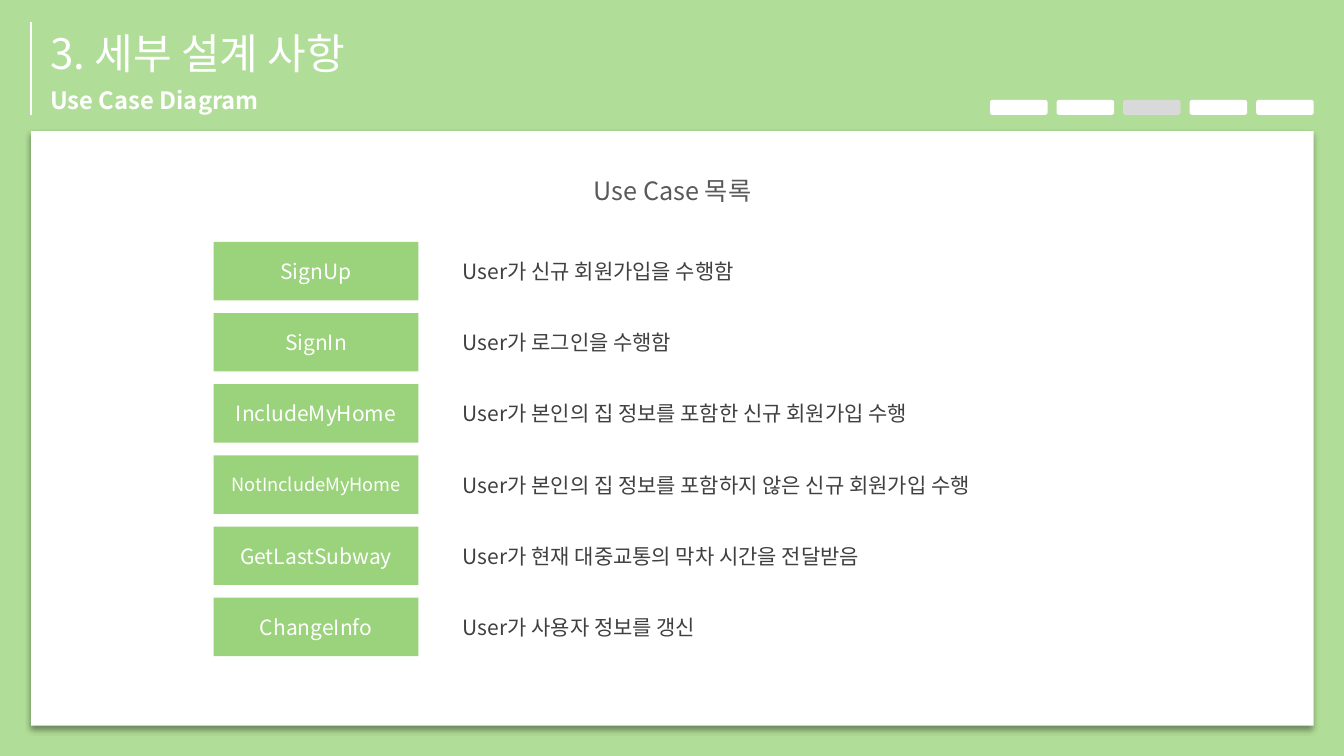
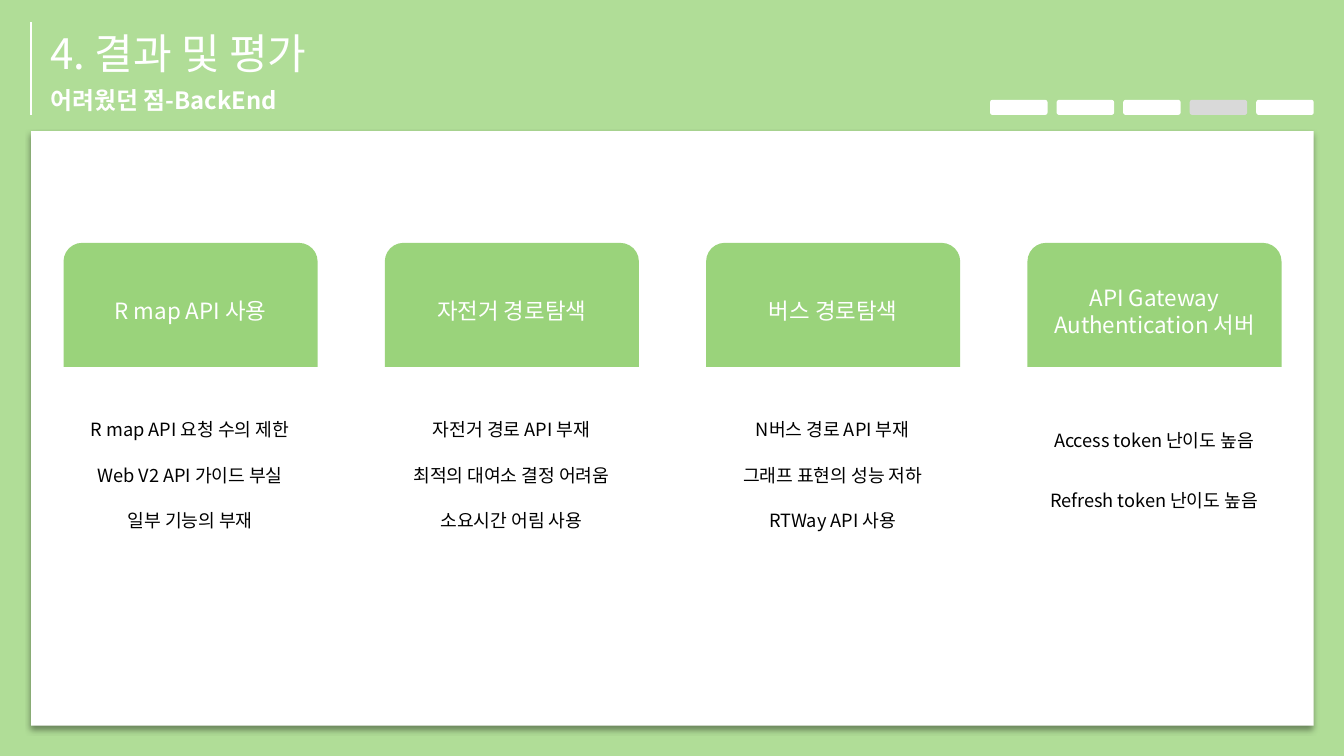
from lxml import etree
from pptx import Presentation
from pptx import util as u
from pptx.dml.color import RGBColor
from pptx.enum import shapes, text
from pptx.oxml import ns

Inches, Pt = u.Inches, u.Pt
Shape, Align, Anchor = shapes.MSO_SHAPE, text.PP_ALIGN, text.MSO_ANCHOR

FONT = "Noto Sans CJK KR"
WHITE = RGBColor(0xFF, 0xFF, 0xFF)
BLACK = RGBColor(0x00, 0x00, 0x00)
DARK = RGBColor(0x40, 0x40, 0x40)
GREY = RGBColor(0x59, 0x59, 0x59)
SILVER = RGBColor(0xD9, 0xD9, 0xD9)
LIGHT_GREEN = RGBColor(0xB0, 0xDD, 0x97)
GREEN = RGBColor(0x9A, 0xD3, 0x7B)

SECTIONS = 5
LEFT = 0.31

USE_CASES = [
    ("SignUp", 15, "User가 신규 회원가입을 수행함"),
    ("SignIn", 15, "User가 로그인을 수행함"),
    ("IncludeMyHome", 15, "User가 본인의 집 정보를 포함한 신규 회원가입 수행"),
    ("NotIncludeMyHome", 13, "User가 본인의 집 정보를 포함하지 않은 신규 회원가입 수행"),
    ("GetLastSubway", 15, "User가 현재 대중교통의 막차 시간을 전달받음"),
    ("ChangeInfo", 15, "User가 사용자 정보를 갱신"),
]

# heading lines, top of the notes, space between notes in points, notes
DIFFICULTIES = [
    (["R map API 사용"], 4.1, 17,
     ["R map API 요청 수의 제한", "Web V2 API 가이드 부실", "일부 기능의 부재"]),
    (["자전거 경로탐색"], 4.1, 17,
     ["자전거 경로 API 부재", "최적의 대여소 결정 어려움", "소요시간 어림 사용"]),
    (["버스 경로탐색"], 4.1, 17,
     ["N버스 경로 API 부재", "그래프 표현의 성능 저하", "RTWay API 사용"]),
    (["API Gateway", "Authentication 서버"], 4.21, 27.5,
     ["Access token 난이도 높음", "Refresh token 난이도 높음"]),
]


class Deck:
    """The shared style and the slide being built."""

    def __init__(self):
        self.deck = Presentation()
        self.deck.slide_width = Inches(13.33)
        self.deck.slide_height = Inches(7.5)
        self.page = None

    def new_page(self, title, subtitle, section):
        self.page = self.deck.slides.add_slide(self.deck.slide_layouts[6])
        background = self.page.background.fill
        background.solid()
        background.fore_color.rgb = LIGHT_GREEN

        # White panel and title
        self.add_shadow(self.shape(Shape.RECTANGLE, LEFT, 1.3, 12.72, 5.9, WHITE))
        self.label([title], 0.4, 0.22, 12.63, 0.61, 30, WHITE)
        self.line(LEFT, 0.22, LEFT, 1.14, WHITE, 1.5)
        self.label([subtitle], 0.4, 0.8, 12.63, 0.39, 17, WHITE, bold=True)

        # Section markers
        for number in range(1, SECTIONS + 1):
            color = SILVER if number == section else WHITE
            self.shape(Shape.ROUNDED_RECTANGLE, 9.82 + 0.66 * (number - 1), 0.99,
                       0.57, 0.15, color)

    def shape(self, kind, left, top, width, height, color):
        box = self.page.shapes.add_shape(
            kind, Inches(left), Inches(top), Inches(width), Inches(height))
        box.shadow.inherit = False
        box.fill.solid()
        box.fill.fore_color.rgb = color
        box.line.fill.background()
        return box

    def add_shadow(self, box):
        effects = box._element.spPr.find(ns.qn("a:effectLst"))
        shadow = etree.SubElement(
            effects, ns.qn("a:outerShdw"), blurRad=str(Pt(4)), dist=str(Pt(3)),
            dir="5400000", algn="t", rotWithShape="0")
        color = etree.SubElement(shadow, ns.qn("a:srgbClr"), val=str(BLACK))
        etree.SubElement(color, ns.qn("a:alpha"), val="40000")

    def line(self, x1, y1, x2, y2, color, weight):
        rule = self.page.shapes.add_connector(
            shapes.MSO_CONNECTOR.STRAIGHT, Inches(x1), Inches(y1), Inches(x2), Inches(y2))
        rule.line.color.rgb = color
        rule.line.width = Pt(weight)
        etree.SubElement(rule._element.spPr, ns.qn("a:effectLst"))

    def add_lines(self, box, lines, size, color, align=Align.LEFT, bold=False, gap=0):
        frame = box.text_frame
        frame.word_wrap = True
        for index, line in enumerate(lines):
            para = frame.add_paragraph() if index else frame.paragraphs[0]
            para.alignment = align
            if index and gap:
                para.space_before = Pt(gap)
            span = para.add_run()
            span.text = line
            span.font.size = Pt(size)
            span.font.bold = bold
            span.font.color.rgb = color
            span.font.name = FONT
            etree.SubElement(span.font._element, ns.qn("a:ea"), typeface=FONT)
        return frame

    def label(self, lines, left, top, width, height, size, color, **style):
        box = self.page.shapes.add_textbox(
            Inches(left), Inches(top), Inches(width), Inches(height))
        return self.add_lines(box, lines, size, color, **style)

    def tile(self, kind, lines, left, top, width, height, size):
        box = self.shape(kind, left, top, width, height, GREEN)
        frame = self.add_lines(box, lines, size, WHITE, align=Align.CENTER)
        frame.vertical_anchor = Anchor.MIDDLE
        return box

    def use_case(self, top, name, size, description):
        self.tile(Shape.RECTANGLE, [name], 2.12, top, 2.03, 0.58, size)
        frame = self.label([description], 4.41, top, 6.8, 0.58, 15, DARK)
        frame.margin_left = Inches(0.18)
        frame.vertical_anchor = Anchor.MIDDLE

    def card(self, left, heading, notes_top, gap, notes):
        box = self.tile(Shape.ROUND_2_SAME_RECTANGLE, heading, left, 2.41, 2.52, 1.23, 16)
        box.adjustments[0] = 0.15
        box.text_frame.margin_top = Inches(0.11)
        self.label(notes, left + 0.12, notes_top, 2.27, 1.23, 13, BLACK,
                   align=Align.CENTER, gap=gap)


def main():
    deck = Deck()

    # Use case list
    deck.new_page("3. 세부 설계 사항", "Use Case Diagram", 3)
    deck.label(["Use Case 목록"], 5.1, 1.69, 3.14, 0.4, 18, GREY, align=Align.CENTER)
    row_step = (5.93 - 2.4) / (len(USE_CASES) - 1)
    for row, use_case in enumerate(USE_CASES):
        deck.use_case(2.4 + row * row_step, *use_case)

    # Back-end difficulties
    deck.new_page("4. 결과 및 평가", "어려웠던 점-BackEnd", 4)
    column_step = (10.19 - 0.63) / (len(DIFFICULTIES) - 1)
    for column, difficulty in enumerate(DIFFICULTIES):
        deck.card(0.63 + column * column_step, *difficulty)

    deck.deck.save("out.pptx")


if __name__ == "__main__":
    main()
